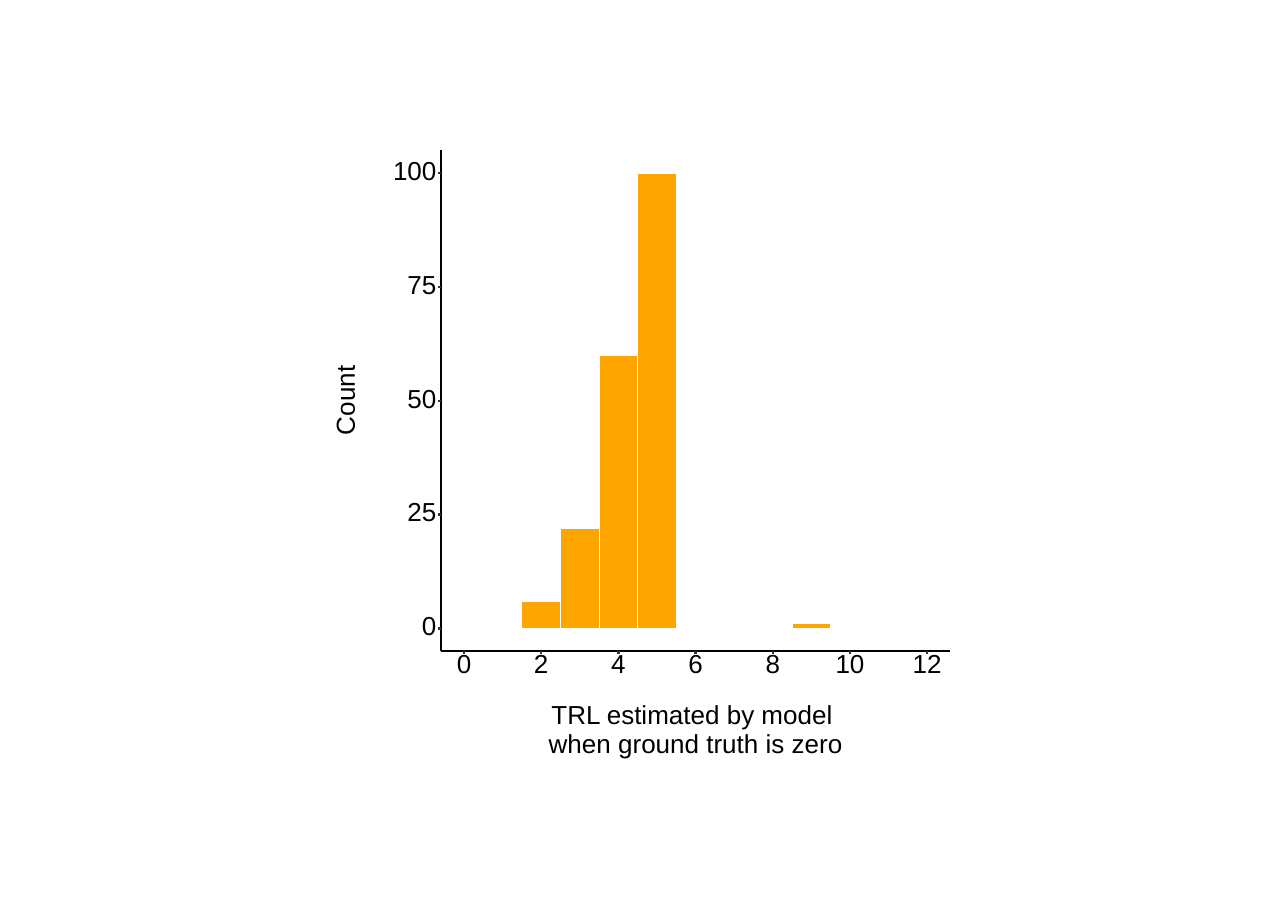
from lxml import etree
from pptx import Presentation
from pptx import util as u
from pptx.chart.data import CategoryChartData
from pptx.dml.color import RGBColor
from pptx.enum import chart as ch, shapes, text
from pptx.oxml import parse_xml
from pptx.oxml.ns import qn

Pt = u.Pt
mid, right = text.PP_ALIGN.CENTER, text.PP_ALIGN.RIGHT

# Content
counts = {trl: 0 for trl in range(13)} | {2: 6, 3: 22, 4: 60, 5: 100, 9: 1}
trls, levels = range(0, 13, 2), range(0, 101, 25)
titles = [
    (["TRL estimated by model ", "when ground truth is zero"],
     dict(box=(491, 647.7, 301, 52), lead=26)),
    (["Count"], dict(box=(260, 357.5, 120, 24), turn=270)),
]
black, gray, white, orange = "000000", "333333", "FFFFFF", "FFA500"
font, size, thick = "Arial", 24, 2.13

# Scales: axis corner and ends, zero positions, points per unit
left, end, top, base = 406.8, 876.2, 138.8, 600.8
xzero, xunit = 428, 35.6
yzero, yunit = 579.8, 4.2
tick = 2.7

# Chart frame and plot area: left, top, width, height
frame = (306, 133, 576, 576)
plot = (xzero - xunit / 2, top, xunit * len(counts), yzero - top)

prs = Presentation()
prs.slide_width, prs.slide_height = Pt(1188), Pt(842.4)
slide = prs.slides.add_slide(prs.slide_layouts[6])


def hue(code):
    return RGBColor.from_string(code)


def stroke(line, code, width):
    line.color.rgb = hue(code)
    line.width = Pt(width)


def write(lines, box, lead=24, turn=0, align=mid):
    area = slide.shapes.add_textbox(*map(Pt, box))
    area.rotation = turn
    body = area.text_frame
    body.word_wrap = True
    body.vertical_anchor = text.MSO_ANCHOR.MIDDLE
    body.margin_left = body.margin_right = 0
    body.margin_top = body.margin_bottom = 0
    body.text = "\n".join(lines)
    for para in body.paragraphs:
        para.alignment = align
        para.line_spacing = Pt(lead)
        para.font.name, para.font.size = font, Pt(size)
        para.font.color.rgb = hue(black)


def rule(ends, code):
    line = slide.shapes.add_connector(
        shapes.MSO_CONNECTOR.STRAIGHT, *map(Pt, ends))
    stroke(line.line, code, thick)
    etree.SubElement(line._element.spPr, qn("a:effectLst"))


# Histogram bars
data = CategoryChartData()
data.categories = [str(trl) for trl in counts]
data.add_series("Count", counts.values())
chart = slide.shapes.add_chart(
    ch.XL_CHART_TYPE.COLUMN_CLUSTERED, *map(Pt, frame), data).chart
chart.has_legend = chart.has_title = False
chart.font.name, chart.font.size = font, Pt(size)
chart.font.color.rgb = hue(black)

bars = chart.plots[0]
bars.gap_width = 0
bars.vary_by_categories = False
bins = bars.series[0]
bins.format.fill.solid()
bins.format.fill.fore_color.rgb = hue(orange)
stroke(bins.format.line, white, 1.07)

# The axes sit away from the bars, so the chart's own stay bare
for axis in (chart.category_axis, chart.value_axis):
    axis.has_major_gridlines = False
    axis.major_tick_mark = axis.minor_tick_mark = ch.XL_TICK_MARK.NONE
    axis.tick_label_position = ch.XL_TICK_LABEL_POSITION.NONE
    axis.format.line.fill.background()
chart.value_axis.minimum_scale = 0
chart.value_axis.maximum_scale = 105
chart.value_axis.major_unit = 25

# Fixed inner plot area, as shares of the frame
share = dict(x=(plot[0] - frame[0]) / frame[2],
             y=(plot[1] - frame[1]) / frame[3],
             w=plot[2] / frame[2], h=plot[3] / frame[3])
root = parse_xml(
    '<c:layout xmlns:c="http://schemas.openxmlformats.org/drawingml/2006/chart">'
    '<c:manualLayout><c:layoutTarget val="inner"/>'
    '<c:xMode val="edge"/><c:yMode val="edge"/>'
    + "".join(f'<c:{key} val="{val:.4f}"/>' for key, val in share.items())
    + '</c:manualLayout></c:layout>')
area = chart._chartSpace.find(".//" + qn("c:plotArea"))
for old in area.findall(qn("c:layout")):
    area.remove(old)
area.insert(0, root)

# Count axis
rule((left, base, left, top), black)
for level in levels:
    y = yzero - level * yunit
    rule((left - tick, y, left, y), gray)
    write([str(level)], (342.5, y - 12.5, 60, 24), align=right)

# TRL axis
rule((left, base, end, base), black)
for trl in trls:
    x = xzero + trl * xunit
    rule((x, base + tick, x, base), gray)
    write([str(trl)], (x - 20, 602.3, 40, 24))

# Axis titles
for lines, form in titles:
    write(lines, **form)

prs.save("out.pptx")
